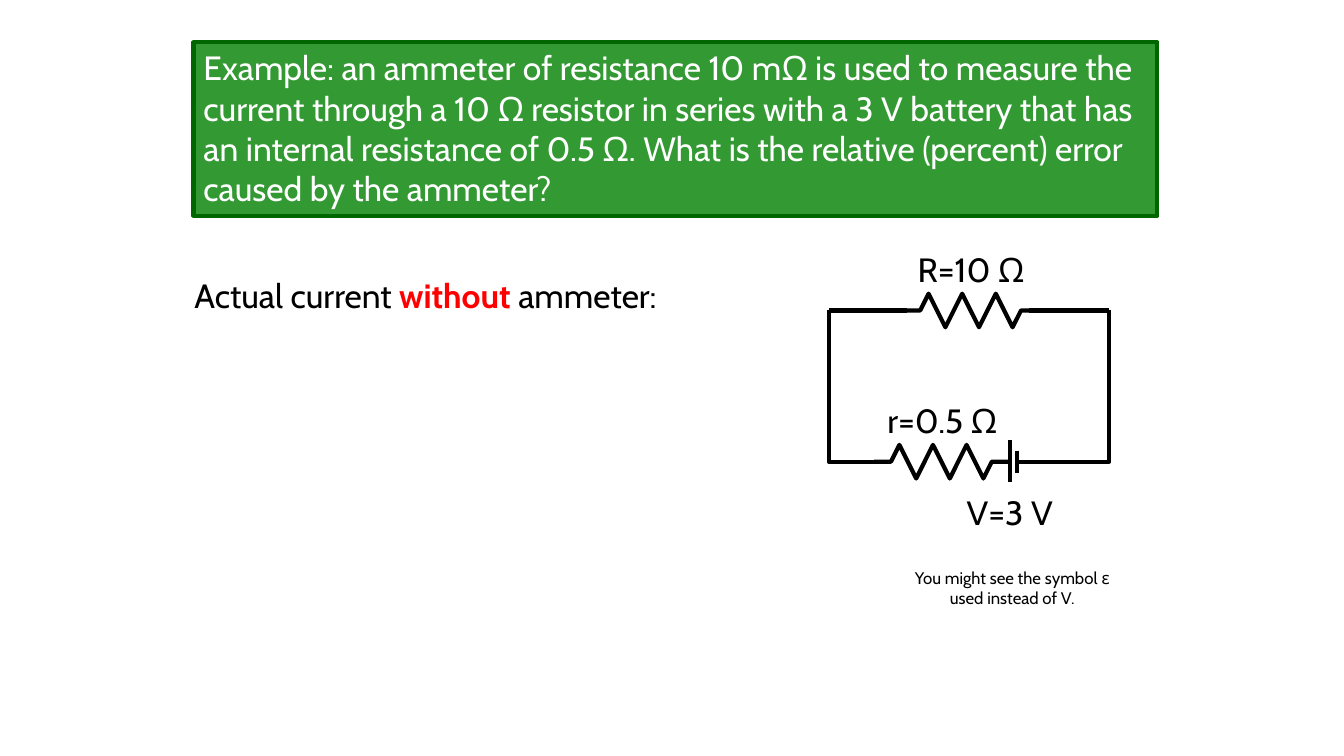
from dataclasses import dataclass

from lxml import etree
from pptx import Presentation
from pptx.dml.color import RGBColor
from pptx.enum.shapes import MSO_CONNECTOR, MSO_SHAPE
from pptx.enum.text import MSO_ANCHOR, PP_ALIGN
from pptx.oxml.ns import qn
from pptx.util import Inches, Pt

STRAIGHT = MSO_CONNECTOR.STRAIGHT
RECTANGLE = MSO_SHAPE.RECTANGLE
TOP = MSO_ANCHOR.TOP
LEFT, CENTER = PP_ALIGN.LEFT, PP_ALIGN.CENTER


@dataclass(frozen=True)
class Theme:
    """Colours, type and line sizes of the slide."""
    font: str = "Cabin"
    body: Pt = Pt(24)
    note: Pt = Pt(12)
    stroke: Pt = Pt(3)
    ink: RGBColor = RGBColor(0, 0, 0)
    white: RGBColor = RGBColor(255, 255, 255)
    accent: RGBColor = RGBColor(255, 0, 0)
    panel: RGBColor = RGBColor(0x33, 0x99, 0x33)
    panel_edge: RGBColor = RGBColor(0, 0x66, 0)


THEME = Theme()
TOP_WIRE, BOTTOM_WIRE = 3.08, 4.58
LEFT_WIRE, RIGHT_WIRE = 8.22, 11
ZIGZAG = [(0, 0), (2, 0), (3, -2), (5, 2), (7, -2), (9, 2),
          (11, -2), (13, 2), (14, 0), (16, 0)]


def style_run(run, color, size=THEME.body, bold=False):
    """Give a run its font, size, colour and weight."""
    run.font.name = THEME.font
    run.font.size = size
    run.font.bold = bold
    run.font.color.rgb = color


def add_text(slide, box, parts, size=THEME.body, align=CENTER, wrap=False):
    """Add a text box whose parts are (text, colour, bold) runs."""
    shape = slide.shapes.add_textbox(*map(Inches, box))
    shape.text_frame.word_wrap = wrap
    paragraph = shape.text_frame.paragraphs[0]
    paragraph.alignment = align
    for text, color, bold in parts:
        run = paragraph.add_run()
        run.text = text
        style_run(run, color, size, bold)


def add_question(slide, box, text):
    """Add the green panel that states the example."""
    shape = slide.shapes.add_shape(RECTANGLE, *map(Inches, box))
    shape.shadow.inherit = False
    shape.fill.solid()
    shape.fill.fore_color.rgb = THEME.panel
    shape.line.color.rgb = THEME.panel_edge
    shape.line.width = THEME.stroke
    shape.text_frame.word_wrap = True
    shape.text_frame.vertical_anchor = TOP
    shape.text_frame.text = text
    paragraph = shape.text_frame.paragraphs[0]
    paragraph.alignment = LEFT
    style_run(paragraph.runs[0], THEME.white)


def style_stroke(line):
    """Draw a line in the circuit's ink and width."""
    line.color.rgb = THEME.ink
    line.width = THEME.stroke


def add_line(slide, start, end):
    """Add a straight piece of the circuit."""
    connector = slide.shapes.add_connector(STRAIGHT, *map(Inches, start + end))
    style_stroke(connector.line)
    etree.SubElement(connector._element.spPr, qn("a:effectLst"))


def add_path(slide, points):
    """Add an open, unfilled path through the points."""
    start, *rest = [(Inches(x), Inches(y)) for x, y in points]
    builder = slide.shapes.build_freeform(*start)
    builder.add_line_segments(rest, close=False)
    shape = builder.convert_to_shape()
    shape.shadow.inherit = False
    shape.fill.background()
    style_stroke(shape.line)


def add_resistor(slide, left, middle):
    """Add a zigzag resistor that starts at the given point."""
    add_path(slide, [(left + x / 12, middle + y / 12) for x, y in ZIGZAG])


def add_circuit(slide):
    """Draw the battery, resistors and wires."""
    for x, top, bottom in [(10.02, 4.37, 4.78), (10.09, 4.47, 4.69)]:
        add_line(slide, (x, top), (x, bottom))
    for left, middle in [(8.96, TOP_WIRE), (8.67, BOTTOM_WIRE)]:
        add_resistor(slide, left, middle)
    for side, inner_top, inner_bottom in [(LEFT_WIRE, 9, 8.75),
                                          (RIGHT_WIRE, 10.21, 10.1)]:
        add_line(slide, (inner_top, TOP_WIRE), (side, TOP_WIRE))
        add_path(slide, [(inner_bottom, BOTTOM_WIRE), (side, BOTTOM_WIRE),
                         (side, TOP_WIRE)])


def main():
    """Build and save the slide."""
    presentation = Presentation()
    presentation.slide_width = Inches(13.33)
    presentation.slide_height = Inches(7.5)
    slide = presentation.slides.add_slide(presentation.slide_layouts[6])

    add_question(slide, (1.92, 0.42, 9.56, 1.72),
                 "Example: an ammeter of resistance 10 mΩ is used to measure "
                 "the current through a 10 Ω resistor in series with a 3 V "
                 "battery that has an internal resistance of 0.5 Ω. What is "
                 "the relative (percent) error caused by the ammeter?")
    add_circuit(slide)
    for box, label in [((9.45, 4.83, 1.13, 0.5), "V=3 V"),
                       ((8.94, 2.42, 1.38, 0.5), "R=10 Ω"),
                       ((8.65, 3.92, 1.39, 0.5), "r=0.5 Ω")]:
        add_text(slide, box, [(label, THEME.ink, False)])
    add_text(slide, (1.83, 2.68, 5.75, 0.5),
             [("Actual current ", THEME.ink, False),
              ("without", THEME.accent, True),
              (" ammeter:", THEME.ink, False)], align=LEFT, wrap=True)
    add_text(slide, (8.83, 5.58, 2.42, 0.51),
             [("You might see the symbol ε used instead of V.",
               THEME.ink, False)], size=THEME.note, wrap=True)
    presentation.save("out.pptx")


if __name__ == "__main__":
    main()
